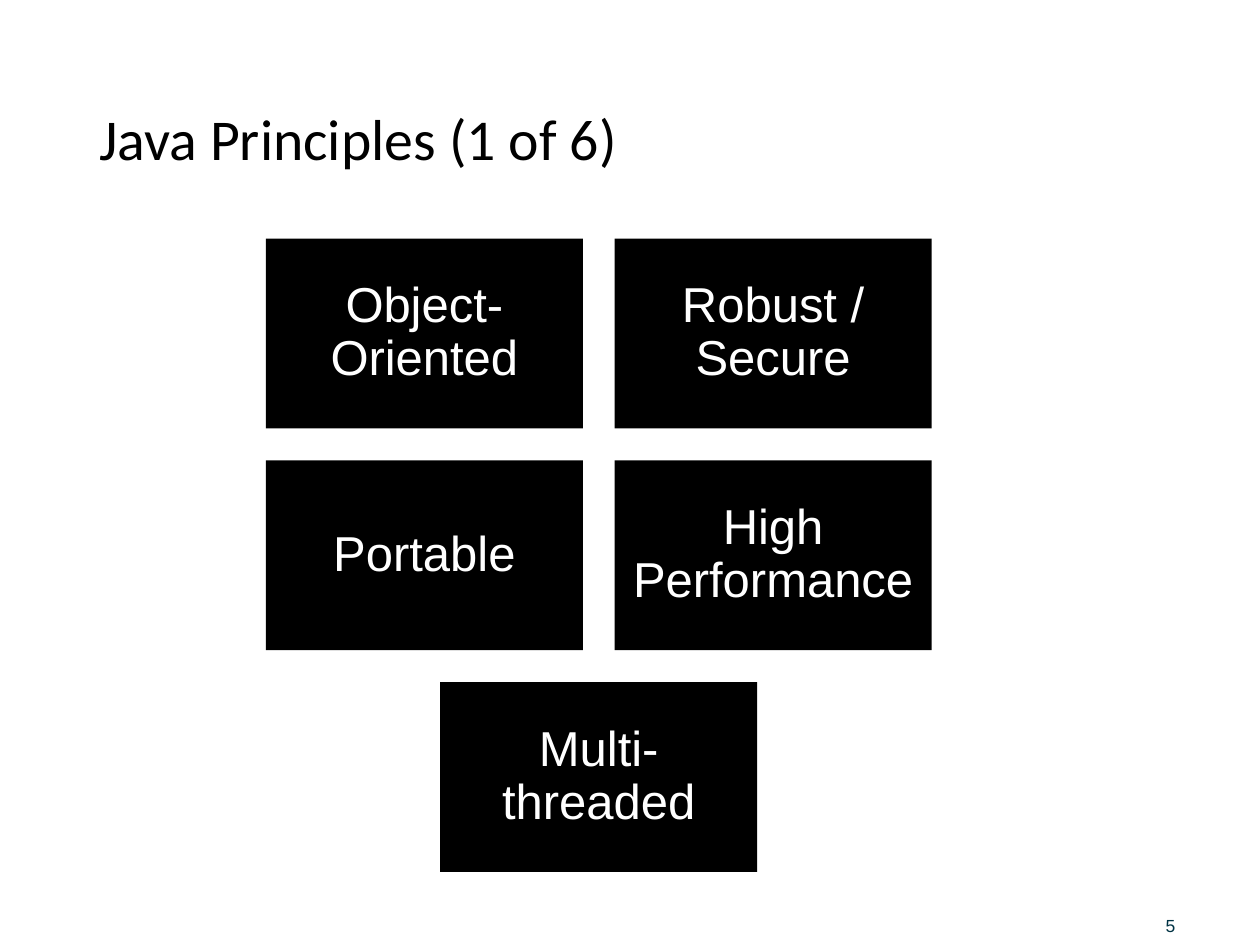
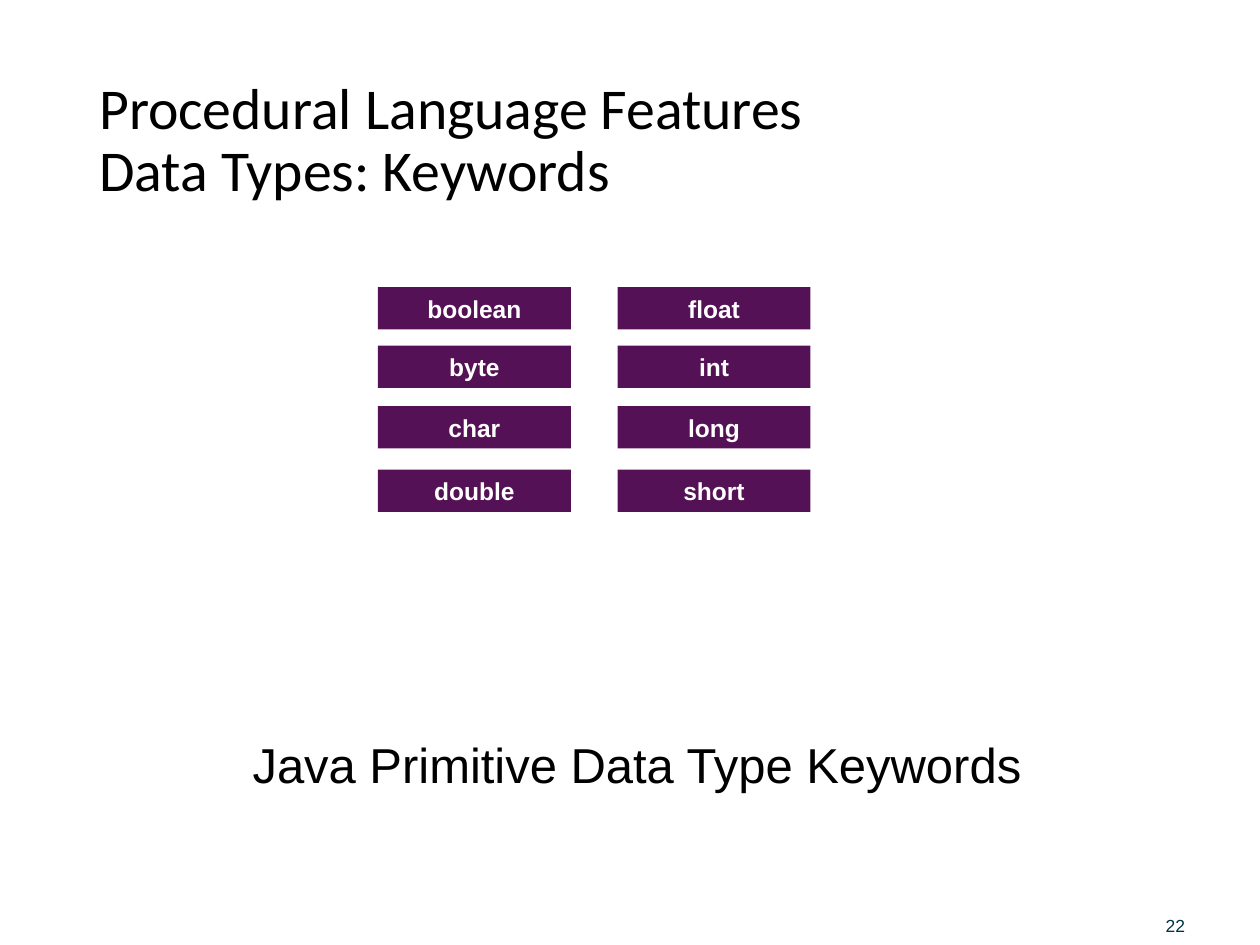
from dataclasses import dataclass

from pptx import Presentation
from pptx.dml.color import RGBColor
from pptx.enum.shapes import MSO_SHAPE
from pptx.enum.text import MSO_ANCHOR, MSO_AUTO_SIZE, PP_ALIGN
from pptx.util import Cm, Pt

BLACK = RGBColor(0x00, 0x00, 0x00)
WHITE = RGBColor(0xFF, 0xFF, 0xFF)
PLUM = RGBColor(0x55, 0x11, 0x55)
NAVY = RGBColor(0x00, 0x33, 0x44)


@dataclass(frozen=True)
class Area:
    """A place on the slide, in centimetres."""
    left: float
    top: float
    width: float
    height: float

    def lengths(self) -> tuple:
        return Cm(self.left), Cm(self.top), Cm(self.width), Cm(self.height)


@dataclass(frozen=True)
class Style:
    size: float
    color: RGBColor
    font: str = "Arial"
    bold: bool = False
    align: PP_ALIGN = PP_ALIGN.CENTER
    anchor: MSO_ANCHOR = MSO_ANCHOR.MIDDLE
    spacing: float = 1.0
    inset: tuple = (0, 0)


TITLE = Style(33, BLACK, font="Calibri", align=PP_ALIGN.LEFT, spacing=0.9,
              inset=(0.25, 0.13))
TILE = Style(28, WHITE, spacing=0.9, inset=(0.3, 0.3))
KEYWORD = Style(14, WHITE, bold=True, inset=(0, 0.05))
CAPTION = Style(28, BLACK, anchor=MSO_ANCHOR.BOTTOM)
NUMBER = Style(10, NAVY, align=PP_ALIGN.LEFT, anchor=MSO_ANCHOR.BOTTOM)

TITLE_AREA = Area(1.75, 1.02, 21.9, 3.68)
NUMBER_AREA = Area(23.5, 18.16, 1.75, 0.71)
CAPTION_AREA = Area(1.27, 14.73, 23.14, 1.27)

PRINCIPLES = [["Object- Oriented", "Robust / Secure"],
              ["Portable", "High Performance"],
              ["Multi-threaded"]]
TILE_WIDTH, TILE_HEIGHT, TILE_GAP = 6.39, 3.83, 0.64
TILES_MID, TILES_TOP = 12.07, 4.81

KEYWORDS = {5.79: ("boolean", "float"), 6.97: ("byte", "int"),
            8.19: ("char", "long"), 9.47: ("double", "short")}
KEY_LEFT, KEY_STEP, KEY_WIDTH, KEY_HEIGHT = 7.62, 4.83, 3.89, 0.85


def assign(target, values: dict) -> None:
    for name, value in values.items():
        setattr(target, name, value)


def write(shape, text: str, style: Style) -> None:
    frame = shape.text_frame
    frame.text = text
    side, edge = map(Cm, style.inset)
    assign(frame, {"word_wrap": True, "auto_size": MSO_AUTO_SIZE.NONE,
                   "vertical_anchor": style.anchor,
                   "margin_left": side, "margin_right": side,
                   "margin_top": edge, "margin_bottom": edge})
    para = frame.paragraphs[0]
    assign(para, {"alignment": style.align, "line_spacing": style.spacing})
    for run in para.runs:
        assign(run.font, {"name": style.font, "size": Pt(style.size),
                          "bold": style.bold})
        run.font.color.rgb = style.color


def add_text(slide, area: Area, text: str, style: Style) -> None:
    write(slide.shapes.add_textbox(*area.lengths()), text, style)


def add_box(slide, area: Area, text: str, fill: RGBColor, style: Style) -> None:
    box = slide.shapes.add_shape(MSO_SHAPE.RECTANGLE, *area.lengths())
    box.shadow.inherit = False
    box.fill.solid()
    box.fill.fore_color.rgb = fill
    box.line.fill.background()
    write(box, text, style)


def add_slide(deck, title: str, number: int):
    """Add a slide with the shared title and page number."""
    slide = deck.slides.add_slide(deck.slide_layouts[5])
    head = slide.shapes.title
    assign(head, dict(zip(("left", "top", "width", "height"),
                          TITLE_AREA.lengths())))
    write(head, title, TITLE)
    add_text(slide, NUMBER_AREA, str(number), NUMBER)
    return slide


def add_tiles(slide) -> None:
    """Draw the principles in rows, each centred on the same axis."""
    for row, names in enumerate(PRINCIPLES):
        span = len(names) * (TILE_WIDTH + TILE_GAP) - TILE_GAP
        top = TILES_TOP + row * (TILE_HEIGHT + TILE_GAP)
        for col, name in enumerate(names):
            left = TILES_MID - span / 2 + col * (TILE_WIDTH + TILE_GAP)
            area = Area(left, top, TILE_WIDTH, TILE_HEIGHT)
            add_box(slide, area, name, BLACK, TILE)


def add_keywords(slide) -> None:
    for top, names in KEYWORDS.items():
        for col, name in enumerate(names):
            area = Area(KEY_LEFT + col * KEY_STEP, top, KEY_WIDTH, KEY_HEIGHT)
            add_box(slide, area, name, PLUM, KEYWORD)


def main() -> None:
    deck = Presentation()
    assign(deck, {"slide_width": Cm(25.4), "slide_height": Cm(19.05)})

    add_tiles(add_slide(deck, "Java Principles (1 of 6)", 5))

    types = add_slide(
        deck, "Procedural Language Features\vData Types: Keywords", 22)
    add_text(types, CAPTION_AREA, "Java Primitive Data Type Keywords", CAPTION)
    add_keywords(types)

    deck.save("out.pptx")


if __name__ == "__main__":
    main()
